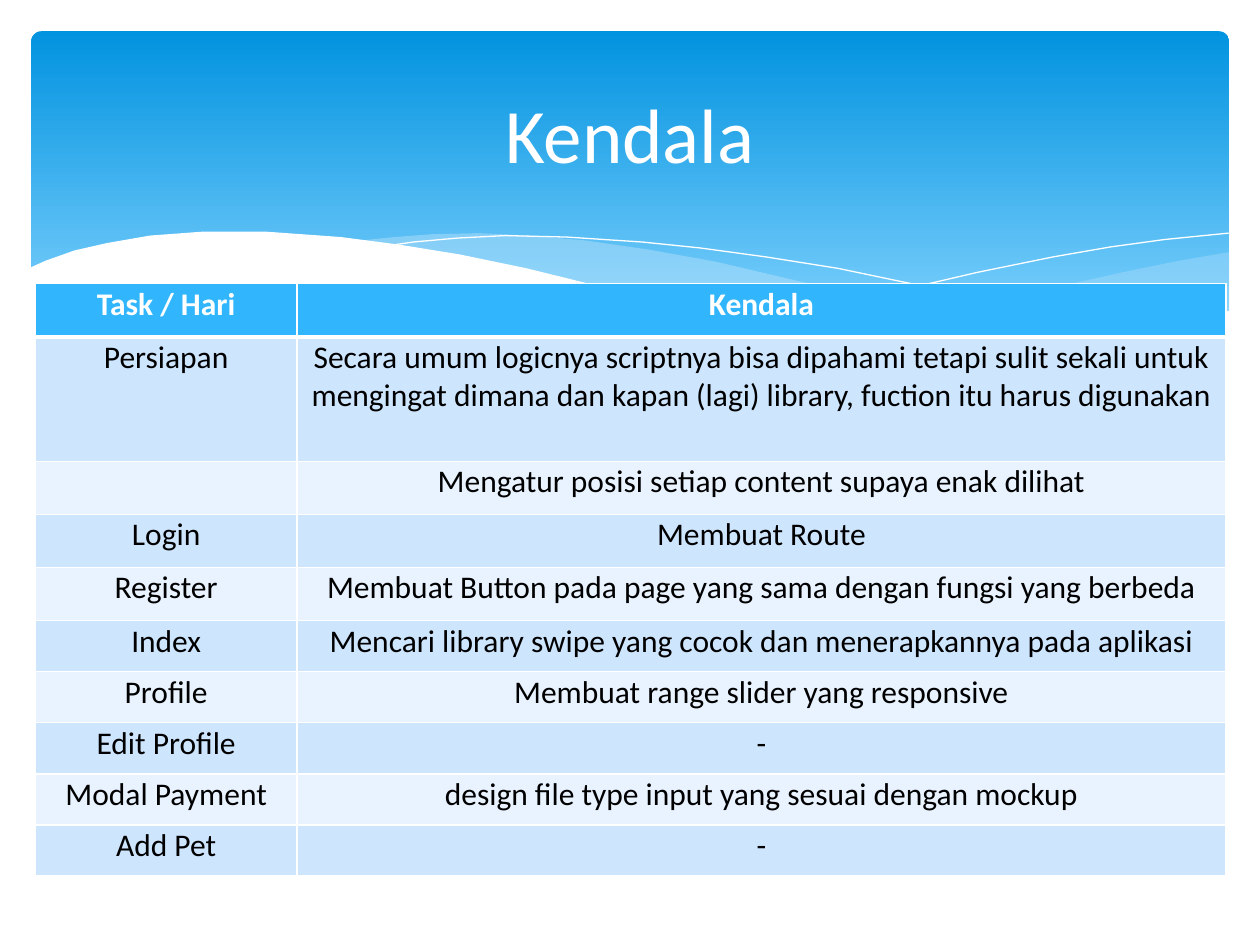
"""Build the "Kendala" slide: a task table under a wavy blue banner."""
import dataclasses

import lxml.etree
import pptx
import pptx.dml.color
import pptx.enum.shapes
import pptx.enum.text
import pptx.oxml.ns
import pptx.util

Cm = pptx.util.Cm
Pt = pptx.util.Pt
qn = pptx.oxml.ns.qn


@dataclasses.dataclass(frozen=True)
class Theme:
    font: str = "Calibri"
    title_size: int = 44
    table_size: int = 18
    white: str = "FFFFFF"
    text: str = "000000"
    banner_top: str = "0293E0"
    banner_bottom: str = "83D3FE"
    wave: str = "C6E7FC"
    header: str = "31B6FD"
    bands: tuple = ("CEE5FE", "E8F3FF")


THEME = Theme()

TITLE = "Kendala"
ROWS = [
    ("Task / Hari", "Kendala"),
    ("Persiapan", "Secara umum logicnya scriptnya bisa dipahami tetapi sulit sekali untuk "
                  "mengingat dimana dan kapan (lagi) library, fuction itu harus digunakan"),
    ("", "Mengatur posisi setiap content supaya enak dilihat"),
    ("Login", "Membuat Route"),
    ("Register", "Membuat Button pada page yang sama dengan fungsi yang berbeda"),
    ("Index", "Mencari library swipe yang cocok dan menerapkannya pada aplikasi"),
    ("Profile", "Membuat range slider yang responsive"),
    ("Edit Profile", "-"),
    ("Modal Payment", "design file type input yang sesuai dengan mockup"),
    ("Add Pet", "-"),
]
COLUMN_WIDTHS = (5.28, 18.72)
ROW_HEIGHTS = [1.07, 2.51] + [1.07] * 3 + [1.03] * 5

RIGHT_WAVE = [
    (24.79, 5.08), (23.75, 5.26), (22.63, 5.49), (21.87, 5.66), (19.79, 6.15),
    (17.93, 6.53), (16.79, 6.73), (18.26, 6.91), (19.53, 7.04), (20.68, 7.06),
    (21.92, 6.99), (22.99, 6.83), (23.93, 6.58), (24.79, 6.27),
]
MIDDLE_WAVE = [
    (7.26, 4.85), (7.95, 4.78), (8.74, 4.72), (9.65, 4.7), (10.67, 4.75),
    (11.81, 4.85), (13.06, 5.03), (14.45, 5.28), (15.98, 5.64), (17.93, 6.1),
    (19.69, 6.45), (21.26, 6.73), (22.68, 6.93), (21.29, 7.06), (19.94, 7.06),
    (18.34, 6.96), (16.51, 6.71), (14.38, 6.3), (12.47, 5.89), (11.4, 5.64),
    (9.73, 5.26), (8.69, 5.05),
]
FALLING_CREST = [
    (7.85, 4.95), (8.33, 4.88), (9.22, 4.8), (10.19, 4.75), (11.43, 4.78),
    (12.95, 4.88), (14.12, 5), (15.44, 5.18), (16.89, 5.41), (18.47, 5.74),
    (20.19, 6.12), (22.07, 6.63), (23.04, 6.91),
]
RISING_CREST = [
    (15.57, 6.53), (17.07, 6.12), (18.29, 5.82), (19.71, 5.49),
    (21.23, 5.18), (22.38, 4.98), (23.47, 4.83), (24.77, 4.7),
]
FRONT_WAVE = [
    (0.58, 5.41), (0.91, 5.26), (1.5, 5.05), (2.16, 4.9), (3.02, 4.75),
    (4.09, 4.67), (5.36, 4.67), (6.88, 4.78), (8.03, 4.93), (9.27, 5.13),
    (10.62, 5.41), (12.07, 5.77), (13.44, 6.07), (15.32, 6.45), (16.97, 6.73),
    (18.9, 6.96), (20.55, 7.04), (22.23, 6.93), (23.62, 6.65), (24.82, 6.25),
    (24.82, 8.36), (0.58, 8.36),
]


def rgb(color):
    return pptx.dml.color.RGBColor.from_string(color)


def add_outline(slide, points, closed):
    start, *rest = [(Cm(x), Cm(y)) for x, y in points]
    builder = slide.shapes.build_freeform(*start)
    builder.add_line_segments(rest, close=closed)
    outline = builder.convert_to_shape()
    outline.shadow.inherit = False
    return outline


def add_wave(slide, points, color, opacity=100):
    wave = add_outline(slide, points, True)
    wave.fill.solid()
    wave.fill.fore_color.rgb = rgb(color)
    wave.line.fill.background()
    if opacity < 100:
        tint = wave.element.spPr.find(qn("a:solidFill")).find(qn("a:srgbClr"))
        lxml.etree.SubElement(tint, qn("a:alpha"), val=str(opacity * 1000))


def add_crest(slide, points):
    crest = add_outline(slide, points, False)
    crest.fill.background()
    crest.line.color.rgb = rgb(THEME.white)
    crest.line.width = Pt(0)


def add_banner(slide):
    banner = slide.shapes.add_shape(
        pptx.enum.shapes.MSO_SHAPE.ROUNDED_RECTANGLE, Cm(0.63), Cm(0.63), Cm(24.15), Cm(6.86))
    banner.adjustments[0] = 0.03
    banner.shadow.inherit = False
    banner.line.fill.background()
    banner.fill.gradient()
    banner.fill.gradient_angle = 270
    stops = ((0, THEME.banner_top), (0.9, THEME.banner_bottom))
    for stop, (position, color) in zip(banner.fill.gradient_stops, stops):
        stop.position = position
        stop.color.rgb = rgb(color)


def style_paragraph(paragraph, size, color, bold=False):
    paragraph.alignment = pptx.enum.text.PP_ALIGN.CENTER
    paragraph.font.name = THEME.font
    paragraph.font.size = Pt(size)
    paragraph.font.bold = bold
    paragraph.font.color.rgb = rgb(color)


def place_title(slide):
    title = slide.shapes.title
    title.element.getparent().append(title.element)
    title.left, title.top, title.width, title.height = Cm(1.27), Cm(0.94), Cm(22.86), Cm(3.48)
    title.text_frame.text = TITLE
    title.text_frame.vertical_anchor = pptx.enum.text.MSO_ANCHOR.MIDDLE
    style_paragraph(title.text_frame.paragraphs[0], THEME.title_size, THEME.white)


def add_borders(cell, widths):
    properties = cell._tc.get_or_add_tcPr()
    for side, width in widths.items():
        border = lxml.etree.SubElement(properties, qn(f"a:ln{side}"), w=str(Pt(width)))
        fill = lxml.etree.SubElement(border, qn("a:solidFill"))
        lxml.etree.SubElement(fill, qn("a:srgbClr"), val=THEME.white)


def fill_cell(cell, text, row):
    is_header = row == 0
    add_borders(cell, {"L": 1, "R": 1, "T": 3 if row == 1 else 1, "B": 3 if is_header else 1})
    cell.fill.solid()
    cell.fill.fore_color.rgb = rgb(THEME.header if is_header else THEME.bands[(row - 1) % 2])
    cell.margin_left = cell.margin_right = cell.margin_top = Cm(0.03)
    cell.margin_bottom = 0
    cell.text = text
    style_paragraph(cell.text_frame.paragraphs[0], THEME.table_size,
                    THEME.white if is_header else THEME.text, is_header)


def add_task_table(slide):
    tasks = slide.shapes.add_table(
        len(ROWS), len(COLUMN_WIDTHS), Cm(0.71), Cm(5.72),
        Cm(sum(COLUMN_WIDTHS)), Cm(sum(ROW_HEIGHTS))).table
    tasks.horz_banding = False
    for column, width in zip(tasks.columns, COLUMN_WIDTHS):
        column.width = Cm(width)
    for row, (texts, height) in enumerate(zip(ROWS, ROW_HEIGHTS)):
        tasks.rows[row].height = Cm(height)
        for column, text in enumerate(texts):
            fill_cell(tasks.cell(row, column), text, row)


def main():
    deck = pptx.Presentation()
    deck.slide_width, deck.slide_height = Cm(25.4), Cm(19.05)
    slide = deck.slides.add_slide(deck.slide_layouts[5])
    add_banner(slide)
    add_wave(slide, RIGHT_WAVE, THEME.wave, 29)
    add_wave(slide, MIDDLE_WAVE, THEME.wave, 40)
    add_crest(slide, FALLING_CREST)
    add_crest(slide, RISING_CREST)
    add_wave(slide, FRONT_WAVE, THEME.white)
    place_title(slide)
    add_task_table(slide)
    deck.save("out.pptx")


if __name__ == "__main__":
    main()
